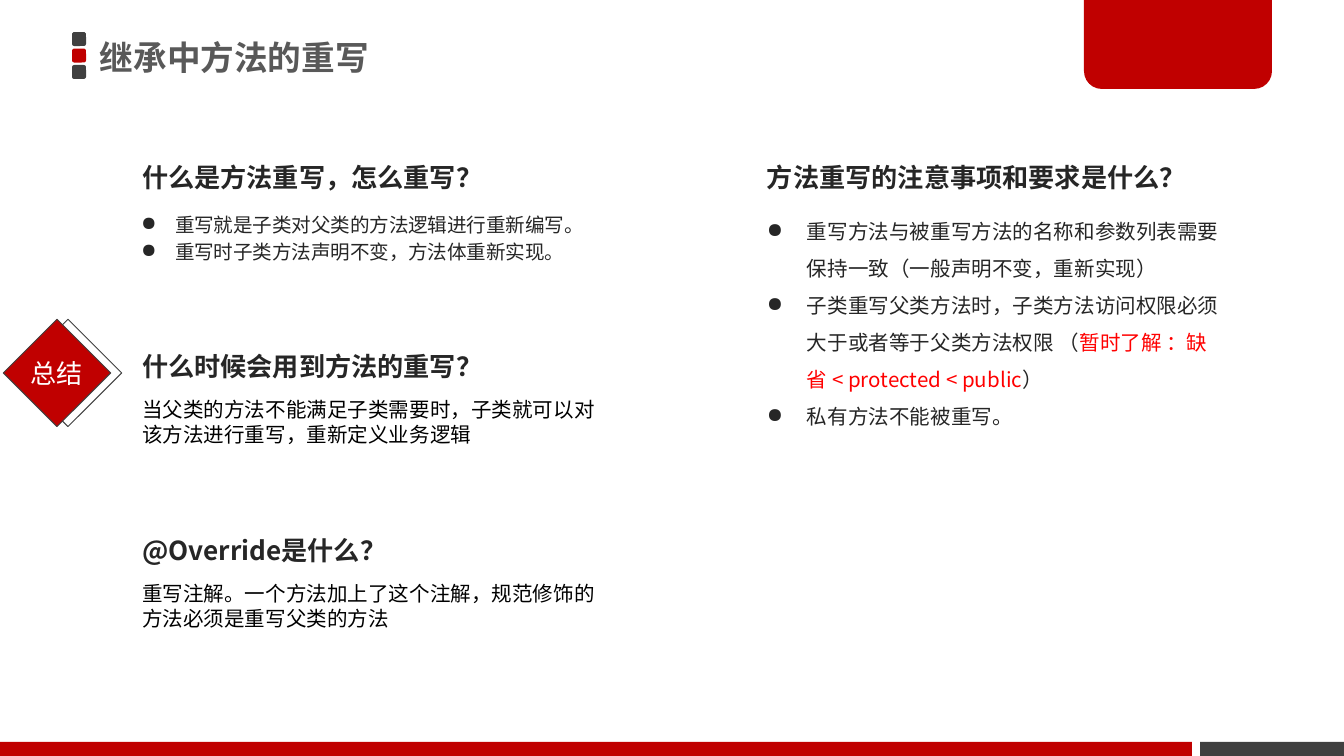
from pptx import Presentation
from pptx.dml.color import RGBColor
from pptx.enum.shapes import MSO_SHAPE as Shape
from pptx.enum.text import MSO_ANCHOR as Anchor, PP_ALIGN as Align
from pptx.oxml.ns import qn
from pptx.util import Pt
from lxml.etree import SubElement

SCALE = 914400 / 134.4
SC, JP = "Noto Sans CJK SC", "Noto Sans CJK JP"
COLORS = {"red": "C00000", "dark": "404040", "title": "595959", "text": "262626",
          "black": "000000", "white": "FFFFFF", "alert": "FF0000"}


def px(n):
    return round(n * SCALE)


def color(name):
    return RGBColor.from_string(COLORS[name])


def add_block(slide, kind, box, fill=None, line=None, turn=0):
    shape = slide.shapes.add_shape(kind, *map(px, box))
    shape.shadow.inherit = False
    shape.rotation = turn
    if fill:
        shape.fill.solid()
        shape.fill.fore_color.rgb = color(fill)
    else:
        shape.fill.background()
    if line:
        shape.line.color.rgb = color(line)
        shape.line.width = Pt(0.5)
    else:
        shape.line.fill.background()
    return shape


def set_bullet(para, indent):
    props = para._p.get_or_add_pPr()
    props.set("marL", str(px(indent)))
    props.set("indent", str(-px(indent)))
    SubElement(props, qn("a:buChar")).set("char", "●")


def set_font(para, face, size, tint, bold):
    font = para.font
    font.name, font.size, font.bold = face, Pt(size), bold
    if tint:
        font.color.rgb = color(tint)
    props = para._p.pPr.find(qn("a:defRPr"))
    SubElement(props, qn("a:ea")).set("typeface", face)


def add_text(slide, box, paras, size, face=SC, tint="text", bold=False,
             anchor=Anchor.TOP, align=Align.LEFT, space=1, gap=0, indent=0):
    """Each paragraph is a string or a list of (text, color) runs."""
    frame = slide.shapes.add_textbox(*map(px, box)).text_frame
    frame.word_wrap = True
    frame.vertical_anchor = anchor
    frame.margin_left = frame.margin_right = px(10)
    frame.margin_top = frame.margin_bottom = px(5)
    for i, runs in enumerate(paras):
        para = frame.paragraphs[0] if i == 0 else frame.add_paragraph()
        para.alignment = align
        para.line_spacing = space
        if i and gap:
            para.space_before = Pt(gap)
        if indent:
            set_bullet(para, indent)
        mixed = not isinstance(runs, str)
        set_font(para, face, size, None if mixed else tint, bold)
        for text, hue in runs if mixed else [(runs, None)]:
            run = para.add_run()
            run.text = text
            if hue:
                run.font.color.rgb = color(hue)


def add_head(slide, left, top, text):
    add_text(slide, (left, top, 477, 78), [text], 14, bold=True, space=2)


def add_frame(slide):
    # Title marks
    for i, fill in enumerate(("dark", "red", "dark")):
        add_block(slide, Shape.ROUNDED_RECTANGLE, (72, 32 + 16.5 * i, 14, 14), fill)
    # Corner tab, rounded at the bottom only
    tab = add_block(slide, Shape.ROUND_2_SAME_RECTANGLE, (1084, 0, 188, 89), "red")
    tab.adjustments[0], tab.adjustments[1] = 0, 0.2
    # Footer bars
    add_block(slide, Shape.RECTANGLE, (0, 742, 1192, 14), "red")
    add_block(slide, Shape.RECTANGLE, (1200, 742, 144, 14), "dark")
    # Summary badge
    for left, fill in ((30, None), (19, "red")):
        add_block(slide, Shape.RECTANGLE, (left, 335, 76, 76), fill, "dark", 45)
    add_text(slide, (3, 355, 108, 40), ["总结"], 14, JP, "white",
             anchor=Anchor.MIDDLE, align=Align.CENTER, space=0.9)


def main():
    deck = Presentation()
    deck.slide_width, deck.slide_height = px(1344), px(756)
    slide = deck.slides.add_slide(deck.slide_layouts[6])
    add_frame(slide)
    add_text(slide, (90, 29, 765, 56), ["继承中方法的重写"], 18, tint="title",
             bold=True, anchor=Anchor.MIDDLE)

    # Left column
    left = 132
    add_head(slide, left, 125, "什么是方法重写，怎么重写？")
    add_text(slide, (131, 208, 484, 69),
             ["重写就是子类对父类的方法逻辑进行重新编写。",
              "重写时子类方法声明不变，方法体重新实现。"], 10.5, gap=2, indent=34)
    for top, head, body in (
            (314, "什么时候会用到方法的重写？",
             "当父类的方法不能满足子类需要时，子类就可以对该方法进行重写，重新定义业务逻辑"),
            (498, "@Override是什么？",
             "重写注解。一个方法加上了这个注解，规范修饰的方法必须是重写父类的方法")):
        add_head(slide, left, top, head)
        add_text(slide, (left, top + 78, 477, 78), [body], 11, JP, "black")

    # Right column
    right = 757
    add_head(slide, right, 125, "方法重写的注意事项和要求是什么？")
    add_text(slide, (right, 202, 477, 250),
             ["重写方法与被重写方法的名称和参数列表需要保持一致（一般声明不变，重新实现）",
              [("子类重写父类方法时，子类方法访问权限必须大于或者等于父类方法权限 （", "text"),
               ("暂时了解 ：缺省 < protected < public", "alert"),
               ("）", "text")],
              "私有方法不能被重写。"], 11, space=1.5, indent=40)
    deck.save("out.pptx")


if __name__ == "__main__":
    main()
